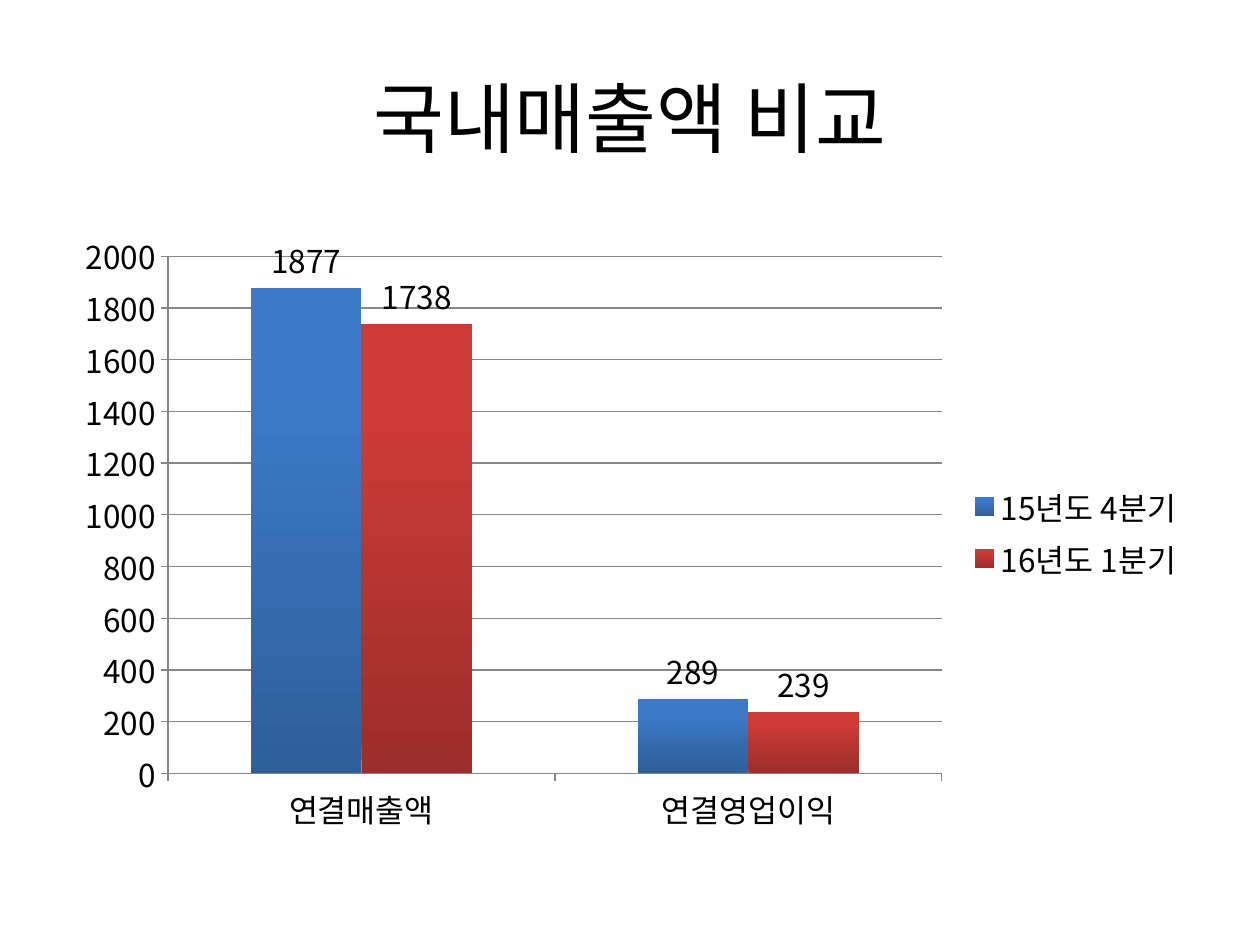
from dataclasses import dataclass

from lxml.etree import Element
from pptx import Presentation
from pptx.chart.chart import Chart
from pptx.chart.data import CategoryChartData as ChartData
from pptx.chart.series import BarSeries
from pptx.dml.color import RGBColor
from pptx.enum.chart import XL_CHART_TYPE as ChartType
from pptx.enum.chart import XL_LABEL_POSITION as LabelPosition
from pptx.enum.chart import XL_LEGEND_POSITION as LegendPosition
from pptx.enum.chart import XL_TICK_MARK as TickMark
from pptx.enum.text import MSO_ANCHOR, PP_ALIGN
from pptx.oxml.ns import qn
from pptx.slide import Slide
from pptx.util import Cm, Pt

FONT = "Noto Sans CJK KR"
BLACK = "000000"
GREY = "868686"


@dataclass
class Quarter:
    name: str
    amounts: tuple[int, int]
    base: str
    top: str


CATEGORIES = ("연결매출액", "연결영업이익")
QUARTERS = (
    Quarter("15년도 4분기", (1877, 289), "2E5F99", "3C7AC9"),
    Quarter("16년도 1분기", (1738, 239), "9B2D2A", "CE3B37"),
)


def color(value: str) -> RGBColor:
    return RGBColor.from_string(value)


def style_font(font, size: int) -> None:
    font.name = FONT
    font.size = Pt(size)
    font.bold = False
    font.color.rgb = color(BLACK)


def add_east_asian_font(root) -> None:
    for latin in list(root.iter(qn("a:latin"))):
        latin.addnext(Element(qn("a:ea"), typeface=FONT))


def add_heading(slide: Slide, wording: str) -> None:
    heading = slide.shapes.title
    heading.left, heading.top = Cm(1.27), Cm(0.76)
    heading.width, heading.height = Cm(22.86), Cm(3.18)
    frame = heading.text_frame
    frame.vertical_anchor = MSO_ANCHOR.MIDDLE
    line = frame.paragraphs[0]
    line.alignment = PP_ALIGN.CENTER
    run = line.add_run()
    run.text = wording
    style_font(run.font, 44)
    add_east_asian_font(heading.element)


def style_series(series: BarSeries, quarter: Quarter) -> None:
    fill = series.format.fill
    fill.gradient()
    fill.gradient_angle = 90
    for stop, shade, position in zip(
        fill.gradient_stops, (quarter.base, quarter.top), (0, 0.8)
    ):
        stop.color.rgb = color(shade)
        stop.position = position
    series.format.line.fill.background()
    series.invert_if_negative = False
    labels = series.data_labels
    labels.show_value = True
    labels.position = LabelPosition.OUTSIDE_END
    style_font(labels.font, 18)


def style_axes(chart: Chart) -> None:
    sales_axis = chart.value_axis
    sales_axis.has_major_gridlines = True
    sales_axis.minimum_scale, sales_axis.maximum_scale = 0, 2000
    sales_axis.major_unit = 200
    rules = [sales_axis.major_gridlines.format.line]
    for axis in (chart.category_axis, sales_axis):
        axis.major_tick_mark = TickMark.OUTSIDE
        axis.minor_tick_mark = TickMark.NONE
        style_font(axis.tick_labels.font, 18)
        rules.append(axis.format.line)
    for rule in rules:
        rule.color.rgb = color(GREY)
        rule.width = Pt(0.75)


def add_sales_chart(slide: Slide) -> None:
    sales = ChartData()
    sales.categories = CATEGORIES
    for quarter in QUARTERS:
        sales.add_series(quarter.name, quarter.amounts)
    chart = slide.shapes.add_chart(
        ChartType.COLUMN_CLUSTERED, Cm(1.27), Cm(4.45), Cm(22.86), Cm(12.57), sales
    ).chart
    style_font(chart.font, 18)
    chart.has_title = False
    chart.has_legend = True
    chart.legend.position = LegendPosition.RIGHT
    chart.legend.include_in_layout = False
    style_font(chart.legend.font, 18)
    columns = chart.plots[0]
    columns.gap_width = 150
    columns.vary_by_categories = False
    for series, quarter in zip(columns.series, QUARTERS):
        style_series(series, quarter)
    style_axes(chart)
    add_east_asian_font(chart.element)


def main() -> None:
    """Build the slide comparing domestic sales of two quarters."""
    deck = Presentation()
    deck.slide_width, deck.slide_height = Cm(25.4), Cm(19.05)
    slide = deck.slides.add_slide(deck.slide_layouts.get_by_name("Title Only"))
    add_heading(slide, "국내매출액 비교")
    add_sales_chart(slide)
    deck.save("out.pptx")


if __name__ == "__main__":
    main()
